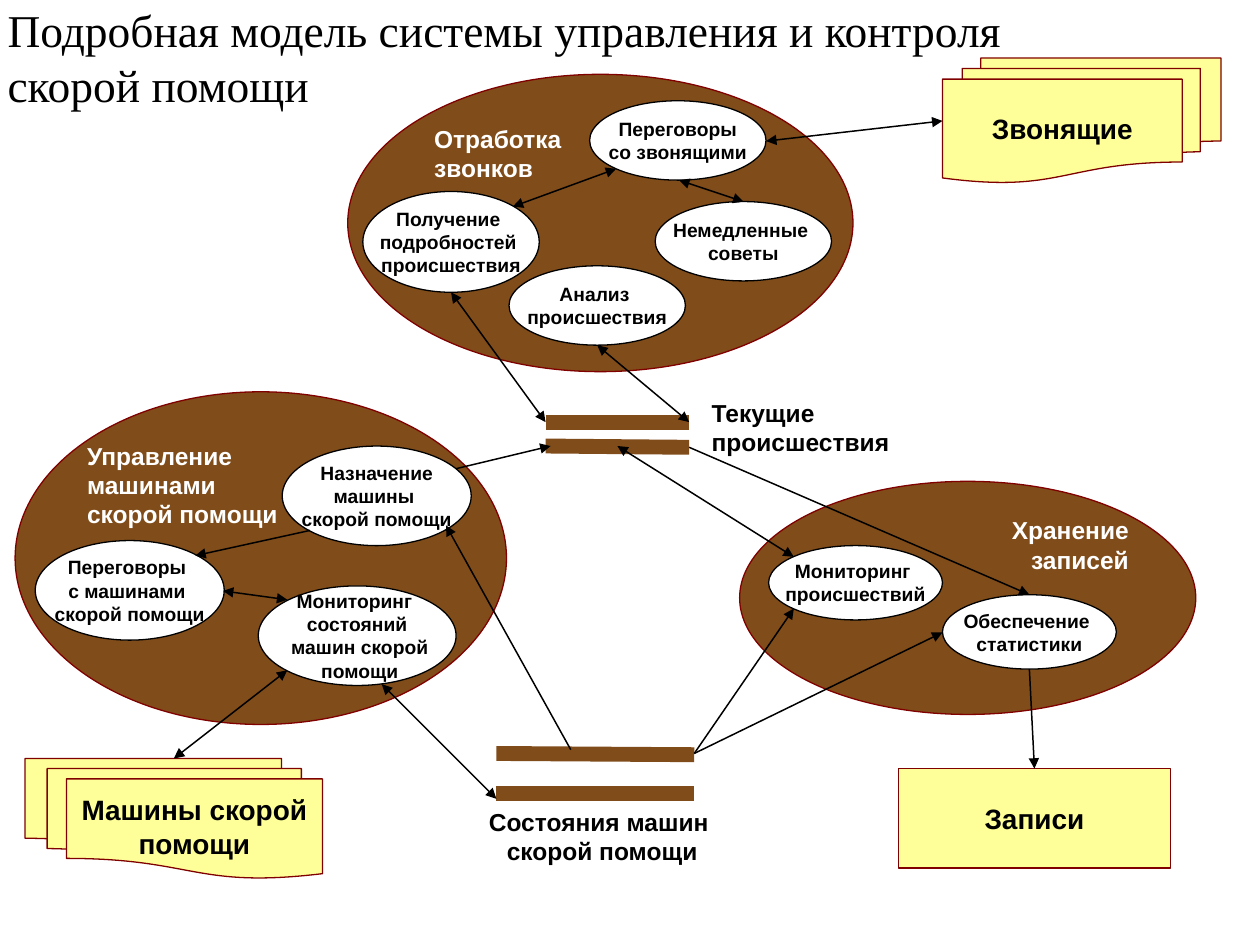
import lxml.etree
import pptx
import pptx.util
import pptx.dml.color
import pptx.enum.shapes
import pptx.enum.text
import pptx.oxml.ns

Inches, Pt = pptx.util.Inches, pptx.util.Pt
RGB = pptx.dml.color.RGBColor.from_string
Kind = pptx.enum.shapes.MSO_SHAPE
Align = pptx.enum.text.PP_ALIGN
Anchor = pptx.enum.text.MSO_ANCHOR
qn = pptx.oxml.ns.qn
HUES = {"ink": "000000", "white": "FFFFFF", "brown": "804C19",
        "edge": "800000", "note": "FFFF99"}

deck = pptx.Presentation()
deck.slide_width, deck.slide_height = Inches(10), Inches(7.5)
slide = deck.slides.add_slide(deck.slide_layouts[5])
shapes = slide.shapes


def write(shape, text, size, hue="ink", align=Align.CENTER, anchor=Anchor.MIDDLE,
          pad=(0, 0), wrap=False, font="Arial"):
    frame = shape.text_frame
    frame.text = text
    frame.word_wrap = wrap
    frame.auto_size = pptx.enum.text.MSO_AUTO_SIZE.NONE
    frame.vertical_anchor = anchor
    frame.margin_left = frame.margin_right = Inches(pad[0])
    frame.margin_top = frame.margin_bottom = Inches(pad[1])
    for para in frame.paragraphs:
        para.alignment = align
        for run in para.runs:
            run.font.name, run.font.size = font, Pt(size)
            run.font.bold = font == "Arial"
            run.font.color.rgb = RGB(HUES[hue])


def draw(kind, box, fill, line):
    shape = shapes.add_shape(kind, *map(Inches, box))
    shape.shadow.inherit = False
    shape.fill.solid()
    shape.fill.fore_color.rgb = RGB(HUES[fill])
    shape.line.color.rgb = RGB(HUES[line])
    shape.line.width = Pt(0.75)
    return shape


title = shapes.title
title.left, title.top, title.width, title.height = map(Inches, (-0.04, -0.12, 10.24, 1.14))
write(title, "Подробная модель системы управления и контроля \vскорой помощи", 26,
      align=Align.LEFT, pad=(0.1, 0.05), wrap=True, font="Times New Roman")

cars = draw(Kind.FLOWCHART_MULTIDOCUMENT, (0.2, 6.02, 2.36, 0.95), "note", "edge")
cars._element.spPr.find(qn("a:xfrm")).set("flipH", "1")
write(cars, "Машины скорой помощи", 16, pad=(0.02, 0.05), wrap=True)
callers = draw(Kind.FLOWCHART_MULTIDOCUMENT, (7.48, 0.46, 2.21, 0.99), "note", "edge")
write(callers, "Звонящие", 16, pad=(0.02, 0.05), wrap=True)
records = draw(Kind.RECTANGLE, (7.13, 6.1, 2.16, 0.79), "note", "edge")
write(records, "Записи", 16, pad=(0.1, 0.05))

areas = [
    ((0.12, 3.11, 3.9, 2.64), "Управление \vмашинами\vскорой помощи", Align.LEFT, (0, 0)),
    ((5.87, 3.82, 3.62, 1.85), "Хранение\vзаписей", Align.RIGHT, (0, 0)),
    ((2.76, 0.59, 4.01, 2.36), "Отработка \vзвонков", Align.LEFT, (0.1, 0.05)),
]
for box, text, align, pad in areas:
    write(draw(Kind.OVAL, box, "brown", "edge"), text, 14, "white", align, Anchor.TOP, pad, True)

labels = [
    ((3.7, 6.42, 2.16, 0.43), "Состояния машин \vскорой помощи", Align.CENTER),
    ((5.55, 3.31, 2.16, 0.16), "Текущие \vпроисшествия", Align.LEFT),
]
for box, text, align in labels:
    write(shapes.add_textbox(*map(Inches, box)), text, 14, align=align, pad=(0.1, 0.05))

tasks = [
    ((6.1, 4.33, 1.38, 0.59), "Мониторинг \vпроисшествий"),
    ((7.48, 4.72, 1.38, 0.59), "Обеспечение \vстатистики"),
    ((2.05, 4.65, 1.57, 0.79), "Мониторинг \vсостояний\v машин скорой\v помощи"),
    ((0.28, 4.29, 1.5, 0.79), "Переговоры \vс машинами \vскорой помощи"),
    ((2.24, 3.54, 1.5, 0.79), "Назначение\vмашины \vскорой помощи"),
    ((4.68, 0.8, 1.4, 0.63), "Переговоры\nсо звонящими"),
    ((5.2, 1.6, 1.4, 0.63), "Немедленные \nсоветы"),
    ((2.88, 1.52, 1.4, 0.8), "Получение \nподробностей \nпроисшествия"),
    ((4.04, 2.11, 1.4, 0.63), "Анализ \nпроисшествия"),
]
for box, text in tasks:
    write(draw(Kind.OVAL, box, "white", "ink"), text, 11)

BAR, ONE, TWO = (), ("a:tailEnd",), ("a:headEnd", "a:tailEnd")
links = [
    (3.94, 5.98, 5.51, 5.99, BAR),
    (3.94, 6.3, 5.51, 6.3, BAR),
    (4.33, 3.35, 5.47, 3.35, BAR),
    (4.33, 3.54, 5.47, 3.55, BAR),
    (5.47, 3.55, 8.17, 4.72, ONE),
    (5.51, 5.98, 7.48, 5.02, ONE),
    (5.51, 5.98, 6.3, 4.83, ONE),
    (2.46, 4.21, 1.55, 4.41, ONE),
    (3.62, 3.72, 4.37, 3.54, ONE),
    (4.53, 5.95, 3.54, 4.17, ONE),
    (5.39, 1.43, 5.9, 1.6, TWO),
    (4.89, 1.34, 4.07, 1.64, TWO),
    (3.58, 2.32, 4.33, 3.35, TWO),
    (7.48, 0.96, 6.08, 1.12, TWO),
    (4.74, 2.74, 5.47, 3.35, TWO),
    (2.28, 5.32, 1.38, 6.02, TWO),
    (2.28, 4.76, 1.77, 4.69, TWO),
    (6.3, 4.42, 4.9, 3.54, TWO),
    (3.03, 5.43, 3.94, 6.34, TWO),
    (8.17, 5.31, 8.21, 6.1, ONE),
]
for *ends, heads in links:
    link = shapes.add_connector(pptx.enum.shapes.MSO_CONNECTOR.STRAIGHT, *map(Inches, ends))
    link.line.color.rgb = RGB(HUES["ink" if heads else "brown"])
    link.line.width = Pt(0.85 if heads else 8.5)
    props = link._element.spPr
    for head in heads:
        lxml.etree.SubElement(props.find(qn("a:ln")), qn(head), type="triangle")
    lxml.etree.SubElement(props, qn("a:effectLst"))
link.end_connect(records, 0)

deck.save("out.pptx")
